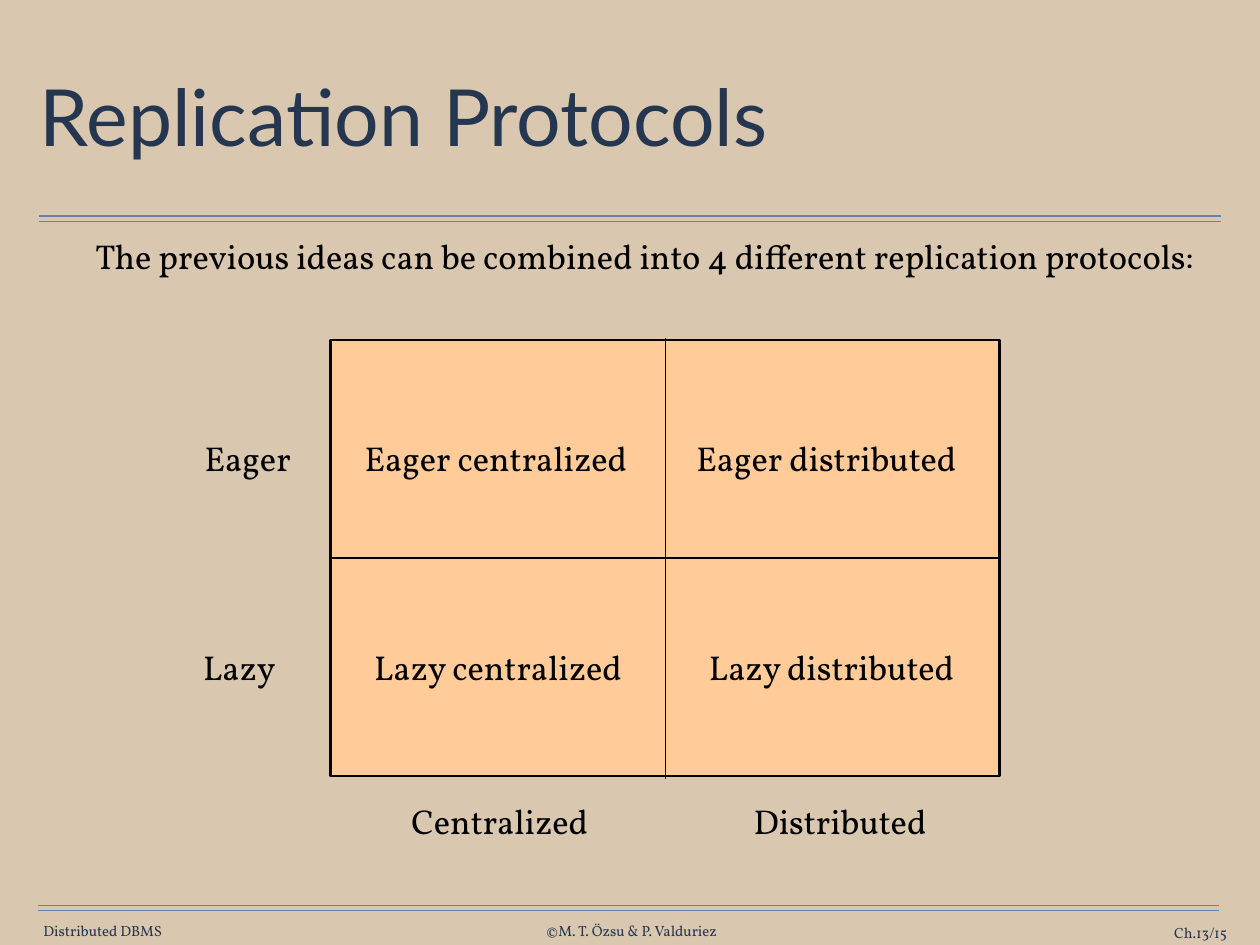
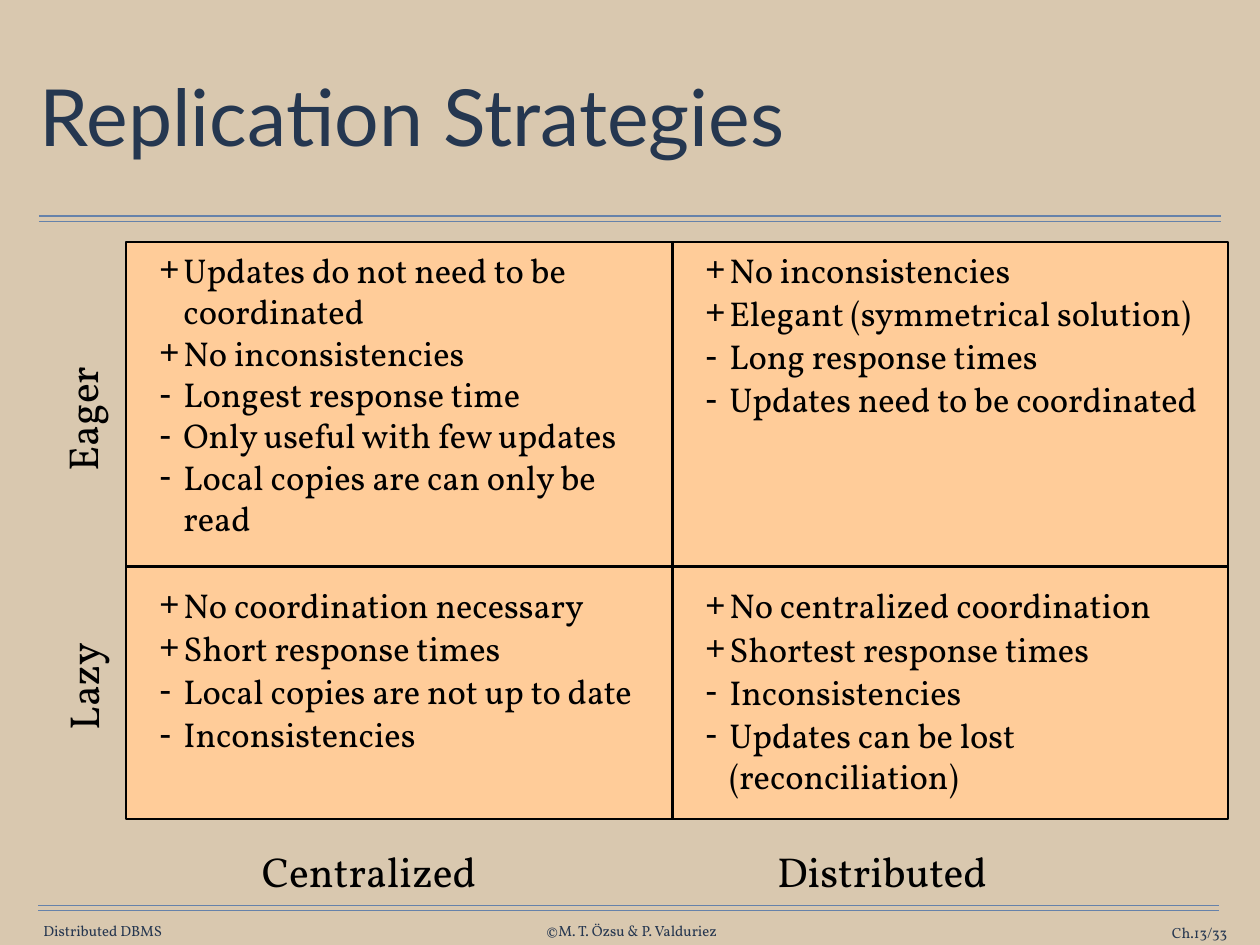
from dataclasses import dataclass

from lxml.etree import SubElement
from pptx import Presentation
from pptx.dml.color import RGBColor
from pptx.enum.shapes import MSO_CONNECTOR, MSO_SHAPE
from pptx.enum.text import MSO_ANCHOR, MSO_AUTO_SIZE, PP_ALIGN
from pptx.oxml.ns import qn
from pptx.util import Inches, Pt


@dataclass(frozen=True)
class Theme:
    background: str = "D9C8AF"
    rule: str = "6682AA"
    title: str = "253750"
    footer: str = "263750"
    ink: str = "000000"
    cell: str = "FFCC99"
    title_font: str = "Lato"
    text_font: str = "Vollkorn"
    title_size: float = 64
    axis_size: float = 34
    text_size: float = 28
    footer_size: float = 12


THEME = Theme()
TITLE_ONLY, COMPARISON = 5, 4
LABEL_INSETS = (0.14, 0.07)


def set_all(target, values):
    for name, value in values.items():
        setattr(target, name, value)


def place(shape, left, top, width, height):
    box = dict(left=left, top=top, width=width, height=height)
    set_all(shape, {side: Inches(length) for side, length in box.items()})


def write(shape, lines, size, font=THEME.text_font, color=THEME.ink,
          align=PP_ALIGN.CENTER, anchor=MSO_ANCHOR.TOP, insets=LABEL_INSETS,
          wrap=False, spacing=1.0, before=0):
    across, down = map(Inches, insets)
    frame = shape.text_frame
    set_all(frame, dict(
        text="\n".join(lines), word_wrap=wrap, auto_size=MSO_AUTO_SIZE.NONE,
        vertical_anchor=anchor, margin_left=across, margin_right=across,
        margin_top=down, margin_bottom=down))
    for paragraph in frame.paragraphs:
        set_all(paragraph, dict(alignment=align, line_spacing=spacing,
                                space_before=Pt(before)))
        for run in paragraph.runs:
            set_all(run.font, dict(name=font, size=Pt(size), bold=False))
            run.font.color.rgb = RGBColor.from_string(color)


def add_label(slide, text, box, size=THEME.text_size, rotation=0, **style):
    label = slide.shapes.add_textbox(*map(Inches, box))
    label.rotation = rotation
    write(label, [text], size, **style)


def add_line(slide, start, end, color=THEME.ink, weight=1):
    line = slide.shapes.add_connector(
        MSO_CONNECTOR.STRAIGHT, *map(Inches, (*start, *end)))
    line.line.color.rgb = RGBColor.from_string(color)
    line.line.width = Pt(weight)
    SubElement(line.element.spPr, qn("a:effectLst"))


def add_panel(slide, left, top, width, height):
    panel = slide.shapes.add_shape(
        MSO_SHAPE.RECTANGLE, *map(Inches, (left, top, width, height)))
    panel.shadow.inherit = False
    panel.fill.solid()
    panel.fill.fore_color.rgb = RGBColor.from_string(THEME.cell)
    panel.line.color.rgb = RGBColor.from_string(THEME.ink)
    panel.line.width = Pt(2)


def fill_list(placeholder, box, items, before):
    place(placeholder, *box)
    placeholder.element.getparent().append(placeholder.element)
    write(placeholder, [text for _, text in items], THEME.text_size,
          align=PP_ALIGN.LEFT, wrap=True, before=before)
    for paragraph, (sign, _) in zip(placeholder.text_frame.paragraphs, items):
        properties = paragraph._p.get_or_add_pPr()
        properties.set("marL", str(Inches(0.27)))
        properties.set("indent", str(Inches(-0.27)))
        if sign == "-":
            SubElement(properties, qn("a:buSzPct"), val="105000")
        SubElement(properties, qn("a:buChar"), char=sign)


def add_slide(deck, layout, title, number):
    slide = deck.slides.add_slide(deck.slide_layouts[layout])
    for left, right, top in ((0.44, 13.78, 2.44), (0.43, 13.76, 10.22)):
        for y in (top, top + 0.06):
            add_line(slide, (left, y), (right, y), THEME.rule)
    footers = (
        ("Distributed DBMS", (0.47, 10.41, 1.38, 0.2), PP_ALIGN.CENTER),
        ("©M. T. Özsu & P. Valduriez", (6.11, 10.41, 2.04, 0.2), PP_ALIGN.CENTER),
        (f"Ch.13/{number}", (12.31, 10.43, 1.54, 0.2), PP_ALIGN.RIGHT),
    )
    for text, box, align in footers:
        add_label(slide, text, box, THEME.footer_size, color=THEME.footer,
                  align=align, anchor=MSO_ANCHOR.MIDDLE, insets=(0, 0),
                  wrap=align == PP_ALIGN.RIGHT)
    heading = slide.shapes.title
    place(heading, 0.39, 0.49, 13.44, 1.76)
    write(heading, [title], THEME.title_size, THEME.title_font, THEME.title,
          PP_ALIGN.LEFT, MSO_ANCHOR.MIDDLE, (0.06, 0.06), True, 0.9)
    return slide


def build_protocols(deck):
    slide = add_slide(deck, TITLE_ONLY, "Replication Protocols", 15)
    add_panel(slide, 3.73, 3.84, 7.55, 4.92)
    add_line(slide, (7.51, 3.82), (7.51, 8.8))
    add_line(slide, (3.73, 6.3), (11.28, 6.3), weight=2)
    labels = (
        ("The previous ideas can be combined into 4 different replication protocols:",
         0.76, 2.58, 13.03),
        ("Eager", 2.15, 4.86, 1.29),
        ("Eager centralized", 3.94, 4.86, 3.31),
        ("Eager distributed", 7.67, 4.86, 3.31),
        ("Lazy", 1.99, 7.22, 1.42),
        ("Lazy centralized", 4.04, 7.22, 3.16),
        ("Lazy distributed", 7.8, 7.22, 3.17),
        ("Centralized", 4.48, 8.96, 2.32),
        ("Distributed", 8.34, 8.96, 2.28),
    )
    for text, left, top, width in labels:
        add_label(slide, text, (left, top, width, 0.62))


def build_strategies(deck):
    slide = add_slide(deck, COMPARISON, "Replication Strategies", 33)
    add_panel(slide, 1.42, 2.73, 12.44, 6.52)
    add_line(slide, (7.59, 2.73), (7.59, 9.24), weight=2.25)
    add_line(slide, (1.42, 6.4), (13.87, 6.4), weight=2.25)
    axes = (
        ("Eager", (0.15, 4.37, 1.56, 0.72), 270),
        ("Lazy", (0.18, 7.39, 1.52, 0.72), 270),
        ("Centralized", (2.79, 9.48, 2.75, 0.72), 0),
        ("Distributed", (8.6, 9.48, 2.71, 0.72), 0),
    )
    for text, box, rotation in axes:
        add_label(slide, text, box, THEME.axis_size, rotation)
    quadrants = (
        ((1.66, 2.74, 5.93, 3.46), 0, (
            ("+", "Updates do not need to be coordinated"),
            ("+", "No inconsistencies"),
            ("-", "Longest response time"),
            ("-", "Only useful with few updates"),
            ("-", "Local copies are can only be read"))),
        ((7.82, 2.74, 5.93, 2.57), 1.4, (
            ("+", "No inconsistencies"),
            ("+", "Elegant (symmetrical solution)"),
            ("-", "Long response times"),
            ("-", "Updates need to be coordinated"))),
        ((1.66, 6.52, 5.81, 2.1), 1.4, (
            ("+", "No coordination necessary"),
            ("+", "Short response times"),
            ("-", "Local copies are not up to date"),
            ("-", "Inconsistencies"))),
        ((7.82, 6.53, 5.93, 2.59), 1.4, (
            ("+", "No centralized coordination"),
            ("+", "Shortest response times"),
            ("-", "Inconsistencies"),
            ("-", "Updates can be lost (reconciliation)"))),
    )
    for index, (box, before, items) in enumerate(quadrants, start=1):
        fill_list(slide.placeholders[index], box, items, before)


def main():
    deck = Presentation()
    set_all(deck, dict(slide_width=Inches(14.22), slide_height=Inches(10.67)))
    backdrop = deck.slide_master.background.fill
    backdrop.solid()
    backdrop.fore_color.rgb = RGBColor.from_string(THEME.background)
    build_protocols(deck)
    build_strategies(deck)
    deck.save("out.pptx")


if __name__ == "__main__":
    main()
